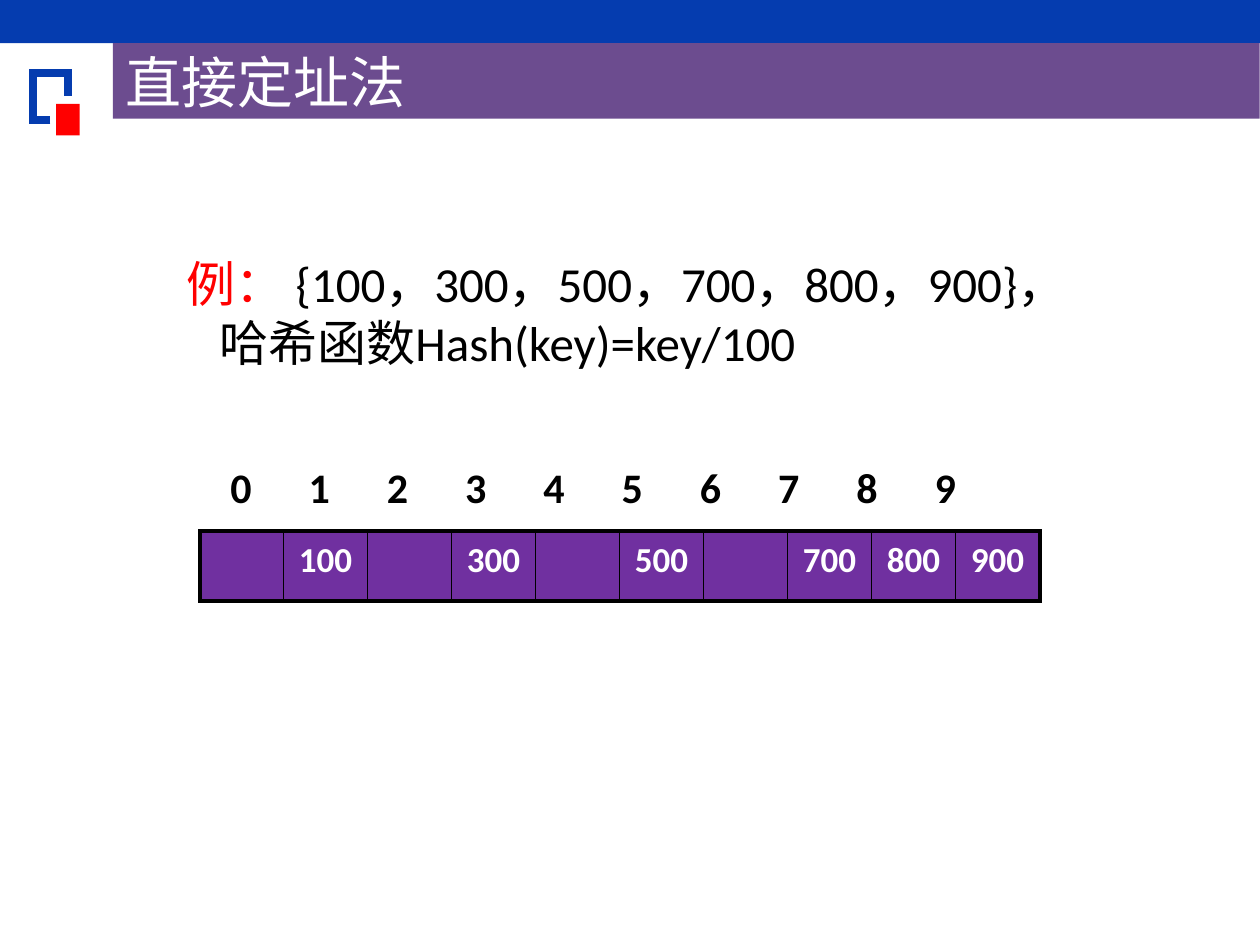
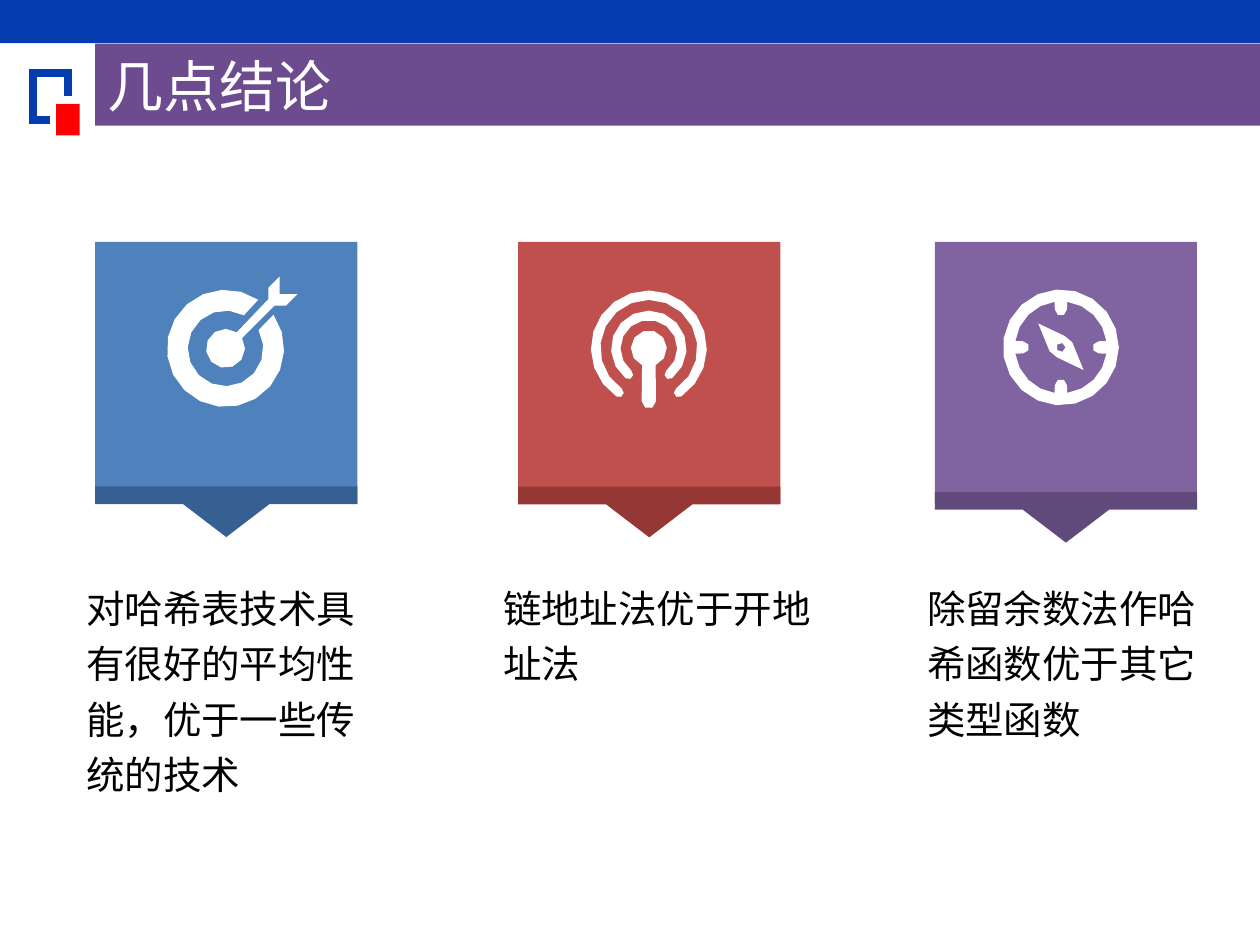
"""Two slides on hashing: direct addressing and conclusions."""
from dataclasses import dataclass
from math import cos, radians, sin, sqrt
from typing import Callable, NamedTuple

from lxml import etree
from pptx import Presentation
from pptx import util as u
from pptx.dml.color import RGBColor
from pptx.enum import shapes, text
from pptx.oxml import ns

BLUE = RGBColor(0x05, 0x3C, 0xAF)
PURPLE = RGBColor(0x6C, 0x4C, 0x8F)
RED = RGBColor(0xFF, 0, 0)
WHITE = RGBColor(0xFF, 0xFF, 0xFF)
BLACK = RGBColor(0, 0, 0)
VIOLET = RGBColor(0x70, 0x30, 0xA0)
CARD_BLUE, PIN_BLUE = RGBColor(0x4F, 0x81, 0xBD), RGBColor(0x37, 0x60, 0x92)
CARD_RED, PIN_RED = RGBColor(0xC0, 0x50, 0x4D), RGBColor(0x95, 0x37, 0x35)
CARD_PURPLE, PIN_PURPLE = RGBColor(0x80, 0x64, 0xA2), RGBColor(0x60, 0x4A, 0x7B)

# The slide is a grid of square cells; every length below counts cells.
COLS, ROWS = 100, 75
CELL = u.Inches(0.1)

Point = tuple[float, float]
Contour = list[Point]


def cells(n: float) -> u.Emu:
    return u.Emu(round(n * CELL))


class Box(NamedTuple):
    col: float
    row: float
    cols: float
    rows: float

    def emu(self) -> list[u.Emu]:
        return [cells(n) for n in self]


class Span(NamedTuple):
    """A piece of text in one format."""
    words: str
    size: float
    color: RGBColor = BLACK
    bold: bool = False


def paint(sp, fill: RGBColor) -> None:
    sp.shadow.inherit = False
    sp.fill.solid()
    sp.fill.fore_color.rgb = fill
    sp.line.fill.background()


def add_rect(s, box: Box, fill: RGBColor):
    sp = s.shapes.add_shape(shapes.MSO_SHAPE.RECTANGLE, *box.emu())
    paint(sp, fill)
    return sp


def write(p, spans: list[Span], align=text.PP_ALIGN.LEFT) -> None:
    p.alignment = align
    for span in spans:
        r = p.add_run()
        r.text = span.words
        fmt = {"name": "Calibri", "size": u.Pt(span.size), "bold": span.bold}
        for name, value in fmt.items():
            setattr(r.font, name, value)
        r.font.color.rgb = span.color


def add_text_frame(s, box: Box):
    tf = s.shapes.add_textbox(*box.emu()).text_frame
    tf.word_wrap = True
    return tf


def stroke(sp, color: RGBColor, width: float):
    """Set colour and width with sharp corners; return the line element."""
    sp.line.color.rgb = color
    sp.line.width = u.Pt(width)
    ln = sp._element.spPr.find(ns.qn("a:ln"))
    etree.SubElement(ln, ns.qn("a:miter"), lim="800000")
    return ln


def add_line(s, start: Point, end: Point, width: float) -> None:
    ends = [cells(n) for n in (*start, *end)]
    sp = s.shapes.add_connector(shapes.MSO_CONNECTOR.STRAIGHT, *ends)
    stroke(sp, BLACK, width).set("cap", "sq")
    etree.SubElement(sp._element.spPr, ns.qn("a:effectLst"))


def add_outline(s, contours: list[Contour], origin: Point = (0, 0), close: bool = True):
    """Draw the contours as one shape; nested contours become holes."""
    moved = [[(cells(origin[0] + x), cells(origin[1] + y)) for x, y in c]
             for c in contours]
    builder = s.shapes.build_freeform(*moved[0][0], scale=1.0)
    for i, points in enumerate(moved):
        if i:
            builder.move_to(*points[0])
        builder.add_line_segments(points[1:], close=close)
    sp = builder.convert_to_shape()
    sp.shadow.inherit = False
    return sp


def add_frame(s, title: str, band: Box) -> None:
    """Draw the top band, the corner mark and the title."""
    add_rect(s, Box(0, 0, COLS, 3.43), BLUE)
    bracket = [(4, 9.5), (2.6, 9.5), (2.6, 5.8), (5.4, 5.8), (5.4, 7.6)]
    sp = add_outline(s, [bracket], close=False)
    sp.fill.background()
    stroke(sp, BLUE, 4.5)
    add_rect(s, Box(4.45, 8.25, 1.87, 2.5), RED)
    tf = add_rect(s, band, PURPLE).text_frame
    tf.vertical_anchor = text.MSO_ANCHOR.MIDDLE
    write(tf.paragraphs[0], [Span(title, 32, WHITE)])


# Icon geometry, in cells from the icon's centre; angles run clockwise.

def arc(radius: float, start: float, end: float, centre: Point = (0, 0)) -> Contour:
    """Points along an arc, closer together in angle as the radius grows."""
    steps = max(3, round(abs(end - start) * sqrt(radius) / 40))
    angles = [radians(start + (end - start) * i / steps) for i in range(steps + 1)]
    return [(centre[0] + radius * cos(a), centre[1] + radius * sin(a)) for a in angles]


def rounded_arc(outer: float, inner: float, start: float, end: float) -> Contour:
    """Outline of a thick arc with round ends."""
    middle, cap = (outer + inner) / 2, (outer - inner) / 2

    def tip(angle: float) -> Point:
        return middle * cos(radians(angle)), middle * sin(radians(angle))

    return (arc(outer, start, end) + arc(cap, end, end + 180, tip(end))[1:-1]
            + arc(inner, end, start) + arc(cap, start + 180, start + 360, tip(start))[1:-1])


def target() -> list[Contour]:
    ring = arc(4.65, -35, 304) + arc(3, 299, -29)
    arrow = [(3.4, -3.9), (3.4, -4.8), (4.3, -5.7), (4.3, -4.3),
             (5.7, -4.3), (4.8, -3.4), (3.9, -3.4)]
    return [ring, arc(1.55, -32, 305) + arrow]


def beacon() -> list[Contour]:
    mast = arc(1.43, 112, 428) + arc(0.57, 0, 180, (0, 4.2))
    return [rounded_arc(4.6, 3.85, 124, 416), rounded_arc(3, 2.25, 128, 412), mast]


def compass() -> list[Contour]:
    dial: Contour = []
    for axis in range(90, 361, 90):
        tick = 3 * cos(radians(axis)), 3 * sin(radians(axis))
        dial += arc(3.65, axis - 82, axis - 8) + arc(0.48, axis - 90, axis - 270, tick)
    needle = [(-1.8, -1.9), (0.3, -0.9), (0.9, -0.4), (1.8, 1.8), (-0.3, 0.8), (-0.9, 0.3)]
    return [arc(4.6, 0, 360)[:-1], dial, needle, arc(0.37, 0, 360)[:-1]]


@dataclass
class Card:
    col: float
    pin_row: float
    fill: RGBColor
    pin_fill: RGBColor
    icon: Callable[[], list[Contour]]
    icon_centre: Point
    words: str
    words_box: Box


CARD_ROW, CARD_SIDE = 19.2, 20.8
WORDS_ROW = 45.2
CARDS = [
    Card(7.56, 38.6, CARD_BLUE, PIN_BLUE, target, (17.9, 27.65),
         "对哈希表技术具有很好的平均性能，优于一些传统的技术",
         Box(5.87, WORDS_ROW, 23.7, 18.8)),
    Card(41.13, 38.62, CARD_RED, PIN_RED, beacon, (51.5, 27.65),
         "链地址法优于开地址法", Box(38.95, WORDS_ROW, 29.2, 9.9)),
    Card(74.2, 39.04, CARD_PURPLE, PIN_PURPLE, compass, (84.2, 27.57),
         "除留余数法作哈希函数优于其它类型函数", Box(72.6, WORDS_ROW, 24, 14.3)),
]


def add_card(s, card: Card) -> None:
    add_rect(s, Box(card.col, CARD_ROW, CARD_SIDE, CARD_SIDE), card.fill)
    mid, half, bar = CARD_SIDE / 2, 3.42, 1.42
    pin = [(0, 0), (CARD_SIDE, 0), (CARD_SIDE, bar), (mid + half, bar),
           (mid, 4.03), (mid - half, bar), (0, bar)]
    paint(add_outline(s, [pin], (card.col, card.pin_row)), card.pin_fill)
    paint(add_outline(s, card.icon(), card.icon_centre), WHITE)
    p = add_text_frame(s, card.words_box).paragraphs[0]
    p.line_spacing = 1.2
    write(p, [Span(card.words, 22)])


SLOTS = ["", "100", "", "300", "", "500", "", "700", "800", "900"]
ARRAY = Box(15.84, 42.17, 66.67, 5.55)
INDEX_PITCH = 6.21


def add_indexes(s) -> None:
    p = add_text_frame(s, Box(17.3, 36.15, 66.8, 5)).paragraphs[0]
    tabs = etree.SubElement(p._p.get_or_add_pPr(), ns.qn("a:tabLst"))
    for i in range(1, len(SLOTS)):
        etree.SubElement(tabs, ns.qn("a:tab"), pos=str(cells(i * INDEX_PITCH)), algn="l")
    write(p, [Span("\t".join(str(i) for i in range(len(SLOTS))), 24, bold=True)])


def add_array(s) -> None:
    left, top, width, height = ARRAY
    right, bottom, slot = left + width, top + height, width / len(SLOTS)
    for i, value in enumerate(SLOTS):
        sp = add_rect(s, Box(left + i * slot, top, slot, height), VIOLET)
        if value:
            tf = sp.text_frame
            tf.vertical_anchor = text.MSO_ANCHOR.TOP
            write(tf.paragraphs[0], [Span(value, 20, WHITE, True)], text.PP_ALIGN.CENTER)
    for row in (top, bottom):
        add_line(s, (left, row), (right, row), 2.25)
    for i in range(len(SLOTS) + 1):
        col = left + i * slot
        add_line(s, (col, top), (col, bottom), 2.25 if i in (0, len(SLOTS)) else 1)


def add_example(s) -> None:
    tf = add_text_frame(s, Box(12.1, 19.6, 85, 10.3))
    lines = [
        (1.75, 0, [Span("例： ", 28, RED), Span("{100，300，500，700，800，900}，", 28)]),
        (4.35, 0.6, [Span("哈希函数Hash(key)=key/100", 28)]),
    ]
    for i, (indent, gap, spans) in enumerate(lines):
        p = tf.add_paragraph() if i else tf.paragraphs[0]
        p._p.get_or_add_pPr().set("marL", str(cells(indent)))
        if gap:
            p.space_before = u.Pt(gap)
        write(p, spans, text.PP_ALIGN.JUSTIFY)


def main() -> None:
    prs = Presentation()
    prs.slide_width, prs.slide_height = cells(COLS), cells(ROWS)
    blank = prs.slide_layouts[6]

    s = prs.slides.add_slide(blank)
    add_example(s)
    add_indexes(s)
    add_array(s)
    add_frame(s, "直接定址法", Box(8.97, 3.43, 91, 6))

    s = prs.slides.add_slide(blank)
    add_frame(s, "几点结论", Box(7.56, 3.47, 92.44, 6.5))
    for card in CARDS:
        add_card(s, card)

    prs.save("out.pptx")


if __name__ == "__main__":
    main()
